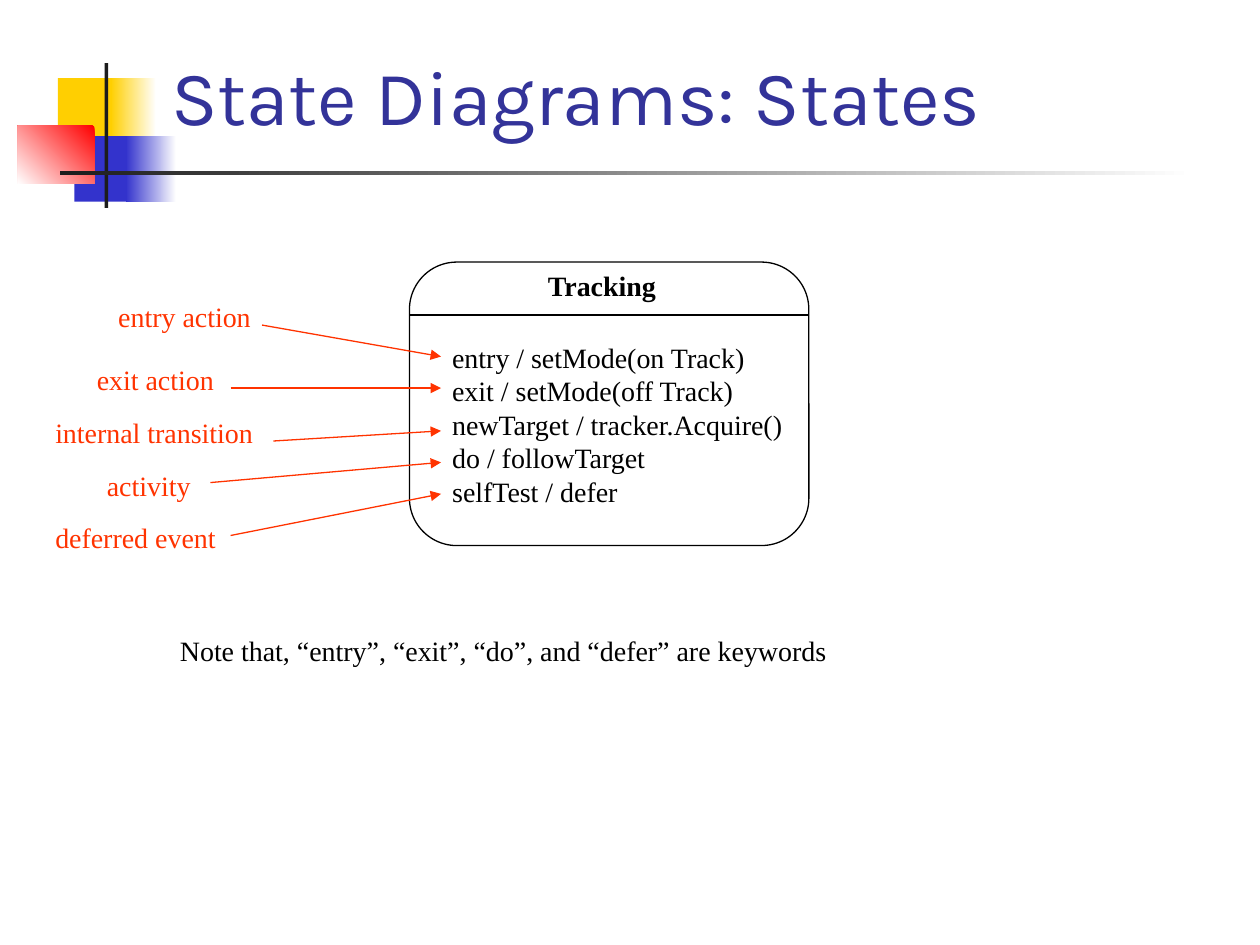
from lxml.etree import SubElement
from pptx import Presentation
from pptx.dml.color import RGBColor
from pptx.enum.shapes import MSO_CONNECTOR, MSO_SHAPE
from pptx.enum.text import MSO_ANCHOR, MSO_AUTO_SIZE
from pptx.oxml.ns import qn
from pptx.util import Inches, Pt

COLOURS = {
    "white": "FFFFFF", "black": "000000", "bar": "1C1C1C", "title": "333399",
    "yellow": "FFCF01", "blue": "3333CC", "red": "FF0000", "note": "FF3300",
}


def rgb(name):
    return RGBColor.from_string(COLOURS[name])


class SlideBuilder:
    body_font = "Times New Roman"
    title_font = "Karla"
    line_width = Pt(0.75)

    def __init__(self, page):
        self.page = page

    def shape(self, kind, place):
        shape = self.page.shapes.add_shape(kind, *map(Inches, place))
        shape.shadow.inherit = False
        return shape

    def block(self, place, colour, fade_to=None, angle=180):
        """Add a borderless rectangle, solid or fading from colour to fade_to."""
        block = self.shape(MSO_SHAPE.RECTANGLE, place)
        block.line.fill.background()
        if fade_to is None:
            block.fill.solid()
            block.fill.fore_color.rgb = rgb(colour)
            return
        block.fill.gradient()
        block.fill.gradient_angle = angle
        for stop, name in zip(block.fill.gradient_stops, (colour, fade_to)):
            stop.color.rgb = rgb(name)

    def state_outline(self, place):
        outline = self.shape(MSO_SHAPE.ROUNDED_RECTANGLE, place)
        outline.adjustments[0] = 0.167
        outline.fill.background()
        outline.line.color.rgb = rgb("black")
        outline.line.width = self.line_width

    def text(self, place, lines, colour="black", **font):
        box = self.page.shapes.add_textbox(*map(Inches, place))
        frame = box.text_frame
        frame.word_wrap = False
        frame.auto_size = MSO_AUTO_SIZE.SHAPE_TO_FIT_TEXT
        frame.text = "\n".join(lines)
        style = {"name": self.body_font, "size": Pt(16), **font}
        for para in frame.paragraphs:
            for span in para.runs:
                for key, value in style.items():
                    setattr(span.font, key, value)
                span.font.color.rgb = rgb(colour)
        return frame

    def title(self, place, wording):
        frame = self.text(place, [wording], "title", name=self.title_font, size=Pt(44))
        frame.word_wrap = True
        frame.auto_size = MSO_AUTO_SIZE.NONE
        frame.vertical_anchor = MSO_ANCHOR.BOTTOM

    def line(self, start, end, colour="black", arrow=False):
        line = self.page.shapes.add_connector(
            MSO_CONNECTOR.STRAIGHT, *map(Inches, (*start, *end)))
        line.line.color.rgb = rgb(colour)
        line.line.width = self.line_width
        if arrow:
            SubElement(line.line._get_or_add_ln(), qn("a:tailEnd"), type="triangle")
        SubElement(line._element.spPr, qn("a:effectLst"))


def main():
    deck = Presentation()
    deck.slide_width, deck.slide_height = Inches(10), Inches(7.5)
    slide = SlideBuilder(deck.slides.add_slide(deck.slide_layouts[6]))

    slide.block((0.46, 0.62, 0.48, 0.52), "yellow")
    slide.block((0.88, 0.62, 0.36, 0.52), "white", "yellow")
    slide.block((0.59, 1.08, 0.46, 0.52), "blue")
    slide.block((1, 1.08, 0.4, 0.52), "white", "blue")
    slide.block((0.14, 1, 0.61, 0.46), "red", "white", angle=225)
    slide.block((0.83, 0.5, 0.03, 1.15), "bar")
    slide.block((0.48, 1.36, 9, 0.03), "white", "bar")
    slide.title((1.26, 0.25, 8.52, 0.92), "State Diagrams: States")

    left, top, width, height = 3.25, 2.08, 3.17, 2.25
    slide.state_outline((left, top, width, height))
    slide.text((4.25, top, 1.07, 0.37), ["Tracking"], bold=True)
    slide.line((left, 2.5), (left + width, 2.5))
    slide.text((3.49, 2.65, 2.85, 1.44), [
        "entry / setMode(on Track)",
        "exit / setMode(off Track)",
        "newTarget / tracker.Acquire()",
        "do / followTarget",
        "selfTest / defer",
    ])

    # wording, label left, top and width, arrow start, arrow end y
    labels = [
        ("entry action", 0.84, 2.33, 1.27, (2.08, 2.58), 2.83),
        ("exit action", 0.67, 2.83, 1.15, (1.83, 3.08), 3.08),
        ("internal transition", 0.34, 3.25, 1.79, (2.17, 3.5), 3.42),
        ("activity", 0.75, 3.67, 0.9, (1.67, 3.83), 3.67),
        ("deferred event", 0.34, 4.08, 1.55, (1.83, 4.25), 3.92),
    ]
    arrow_tip = 3.5
    for wording, label_left, label_top, label_width, start, end_y in labels:
        slide.text((label_left, label_top, label_width, 0.37), [wording], "note")
        slide.line(start, (arrow_tip, end_y), "note", arrow=True)

    slide.text((1.33, 4.98, 5.33, 0.37),
               ["Note that, “entry”, “exit”, “do”, and “defer” are keywords"])
    deck.save("out.pptx")


if __name__ == "__main__":
    main()
